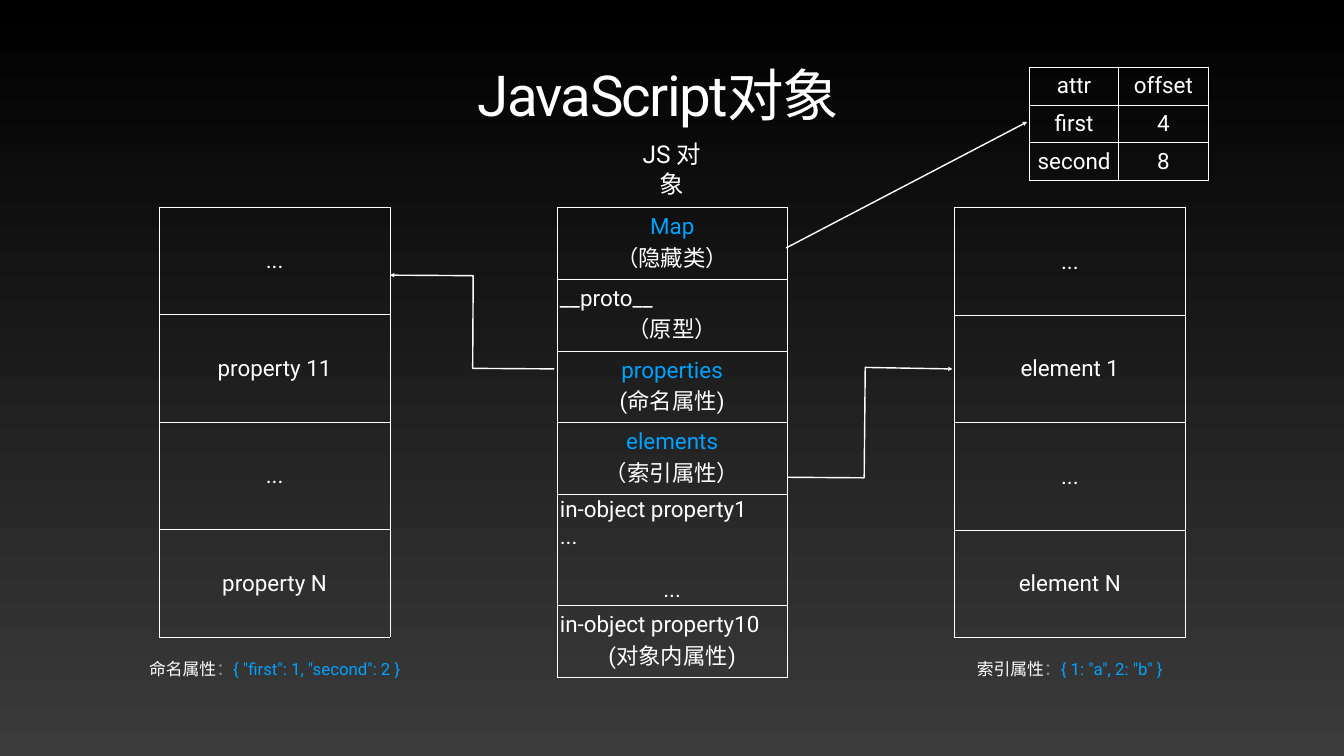
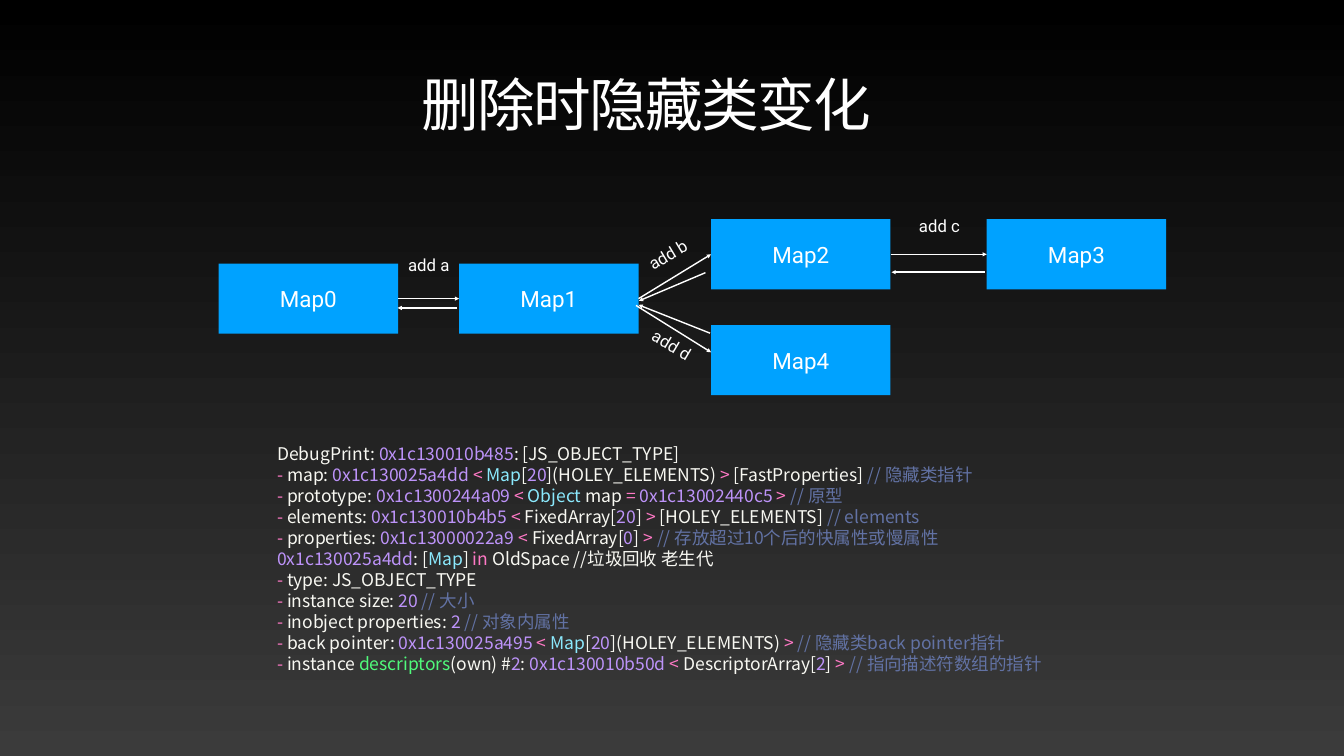
"""Build two slides on how JavaScript objects and their hidden classes are laid out."""
from lxml.etree import SubElement
from pptx import Presentation
from pptx.dml.color import RGBColor
from pptx.enum.shapes import MSO_CONNECTOR as CONN, MSO_SHAPE as SHAPE
from pptx.enum.text import MSO_ANCHOR as ANCHOR, MSO_AUTO_SIZE as FIT, PP_ALIGN as ALIGN
from pptx.oxml.ns import qn
from pptx.util import Inches, Pt

BLACK = RGBColor(0x00, 0x00, 0x00)
DARK = RGBColor(0x3B, 0x3B, 0x3B)
WHITE = RGBColor(0xFF, 0xFF, 0xFF)
GREY = RGBColor(0x92, 0x92, 0x92)
BLUE = RGBColor(0x00, 0xA2, 0xFF)
PLAIN = RGBColor(0xF8, 0xF8, 0xF2)
NUMBER = RGBColor(0xBD, 0x93, 0xF9)
MARK = RGBColor(0xFF, 0x79, 0xC6)
TYPE = RGBColor(0x8B, 0xE9, 0xFD)
NOTE = RGBColor(0x62, 0x72, 0xA4)
GREEN = RGBColor(0x50, 0xFA, 0x7B)

LATIN, CJK = "Roboto", "Noto Sans CJK SC"
INSET = Inches(0.06)
DASH = ("-", MARK)

DEBUG_PRINT = [
    [("DebugPrint: ", PLAIN), ("0x1c130010b485", NUMBER), (": [JS_OBJECT_TYPE]", PLAIN)],
    [DASH, (" map: ", PLAIN), ("0x1c130025a4dd ", NUMBER), ("< ", MARK), ("Map", TYPE),
     ("[", PLAIN), ("20", NUMBER), ("](HOLEY_ELEMENTS) ", PLAIN), (">", MARK),
     (" [FastProperties] ", PLAIN), ("// 隐藏类指针", NOTE)],
    [DASH, (" prototype: ", PLAIN), ("0x1c1300244a09 ", NUMBER), ("< ", MARK),
     ("Object", TYPE), (" map ", PLAIN), ("= ", MARK), ("0x1c13002440c5 ", NUMBER),
     ("> ", MARK), ("// 原型", NOTE)],
    [DASH, (" elements: ", PLAIN), ("0x1c130010b4b5 ", NUMBER), ("<", MARK),
     (" FixedArray[", PLAIN), ("20", NUMBER), ("] ", PLAIN), (">", MARK),
     (" [HOLEY_ELEMENTS] ", PLAIN), ("// elements", NOTE)],
    [DASH, (" properties: ", PLAIN), ("0x1c13000022a9 ", NUMBER), ("<", MARK),
     (" FixedArray[", PLAIN), ("0", NUMBER), ("] ", PLAIN), ("> ", MARK),
     ("// 存放超过10个后的快属性或慢属性", NOTE)],
    [("0x1c130025a4dd", NUMBER), (": [", PLAIN), ("Map", TYPE), ("] ", PLAIN),
     ("in", MARK), (" OldSpace //垃圾回收 老生代", PLAIN)],
    [DASH, (" type: JS_OBJECT_TYPE", PLAIN)],
    [DASH, (" instance size: ", PLAIN), ("20 ", NUMBER), ("// 大小", NOTE)],
    [DASH, (" inobject properties: ", PLAIN), ("2 ", NUMBER), ("// 对象内属性", NOTE)],
    [DASH, (" back pointer: ", PLAIN), ("0x1c130025a495 ", NUMBER), ("< ", MARK),
     ("Map", TYPE), ("[", PLAIN), ("20", NUMBER), ("](HOLEY_ELEMENTS) ", PLAIN),
     ("> ", MARK), ("// 隐藏类back pointer指针", NOTE)],
    [DASH, (" instance ", PLAIN), ("descriptors", GREEN), ("(own) #", PLAIN),
     ("2", NUMBER), (": ", PLAIN), ("0x1c130010b50d ", NUMBER), ("<", MARK),
     (" DescriptorArray[", PLAIN), ("2", NUMBER), ("] ", PLAIN), ("> ", MARK),
     ("// 指向描述符数组的指针", NOTE)],
]


class Deck:
    """Holds the shared style and the current slide; lengths are percents of the slide."""

    def __init__(self):
        self.prs = Presentation()
        self.prs.slide_width, self.prs.slide_height = Inches(26.67), Inches(15)
        fill = self.prs.slide_master.background.fill
        fill.gradient()
        fill.gradient_angle = 270
        for stop, color in zip(fill.gradient_stops, (BLACK, DARK)):
            stop.color.rgb = color

    def x(self, share):
        return round(self.prs.slide_width * share / 100)

    def y(self, share):
        return round(self.prs.slide_height * share / 100)

    def box(self, left, top, width, height):
        return self.x(left), self.y(top), self.x(width), self.y(height)

    def fill_text(self, tf, paras, size, align=ALIGN.CENTER, font=LATIN, spacing=None):
        for i, para in enumerate(paras):
            p = tf.paragraphs[0] if i == 0 else tf.add_paragraph()
            p.alignment, p.line_spacing = align, spacing
            for text, color in [(para, WHITE)] if isinstance(para, str) else para:
                r = p.add_run()
                r.text = text
                r.font.size, r.font.name = Pt(size), font
                r.font.color.rgb = color
                SubElement(r.font._element, qn("a:ea"), typeface=CJK)

    def frame(self, sp, anchor=ANCHOR.MIDDLE, wrap=True):
        tf = sp.text_frame
        tf.margin_left = tf.margin_right = tf.margin_top = tf.margin_bottom = INSET
        tf.vertical_anchor, tf.word_wrap, tf.auto_size = anchor, wrap, FIT.NONE
        return tf

    def slide(self, title, left, top, size):
        self.s = self.prs.slides.add_slide(self.prs.slide_layouts[5])
        sp = self.s.shapes.title
        sp.left, sp.top, sp.width, sp.height = self.box(left, top, 89.58, 11.33)
        tf = self.frame(sp, ANCHOR.BOTTOM)
        self.fill_text(tf, [title], size, spacing=0.8)
        tf.paragraphs[0].runs[0].font._element.set("spc", "-240")

    def text(self, paras, left, top, width, height, size=24, wrap=False, rotation=0, **style):
        sp = self.s.shapes.add_textbox(*self.box(left, top, width, height))
        sp.rotation = rotation
        self.fill_text(self.frame(sp, wrap=wrap), paras, size, **style)

    def node(self, name, left, top):
        sp = self.s.shapes.add_shape(SHAPE.RECTANGLE, *self.box(left, top, 13.35, 9.27))
        sp.shadow.inherit = False
        sp.fill.solid()
        sp.fill.fore_color.rgb = BLUE
        sp.line.fill.background()
        self.fill_text(self.frame(sp), [name], 32)
        return sp

    def table(self, rows, left, top, col_width, heights):
        size = self.box(left, top, col_width * len(rows[0]), sum(heights))
        tbl = self.s.shapes.add_table(len(rows), len(rows[0]), *size).table
        tbl.first_row = tbl.horz_banding = False
        for col in tbl.columns:
            col.width = self.x(col_width)
        for row, height, values in zip(tbl.rows, heights, rows):
            row.height = self.y(height)
            for cell, paras in zip(row.cells, values):
                self.cell(cell, paras)
        return tbl

    def cell(self, cell, paras):
        cell.margin_left = cell.margin_right = cell.margin_top = cell.margin_bottom = INSET
        cell.vertical_anchor = ANCHOR.MIDDLE
        cell.fill.background()
        self.fill_text(cell.text_frame, paras, 32)
        tcPr = cell._tc.get_or_add_tcPr()
        for i, side in enumerate(("lnL", "lnR", "lnT", "lnB")):
            ln = SubElement(tcPr, qn(f"a:{side}"), w=str(Pt(1)))
            fill = SubElement(ln, qn("a:solidFill"))
            SubElement(fill, qn("a:srgbClr"), val=str(WHITE))
            tcPr.insert(i, ln)

    def arrowhead(self, sp):
        sp.line.color.rgb, sp.line.width = WHITE, Pt(2)
        ln = sp._element.spPr.find(qn("a:ln"))
        SubElement(ln, qn("a:tailEnd"), type="triangle")

    def arrow(self, start=(0, 0), end=(0, 0), join=None):
        sp = self.s.shapes.add_connector(
            CONN.STRAIGHT, self.x(start[0]), self.y(start[1]), self.x(end[0]), self.y(end[1]))
        if join:
            sp.begin_connect(join[0], 3)
            sp.end_connect(join[1], 1)
        self.arrowhead(sp)
        SubElement(sp._element.spPr, qn("a:effectLst"))

    def elbow(self, *points):
        pts = [(self.x(x), self.y(y)) for x, y in points]
        builder = self.s.shapes.build_freeform(*pts[0])
        builder.add_line_segments(pts[1:], close=False)
        sp = builder.convert_to_shape()
        sp.shadow.inherit = False
        sp.fill.background()
        self.arrowhead(sp)


def object_slide(deck):
    deck.slide("JavaScript对象", 4.2, 5.93, 80.7)
    fields = [
        [[("Map", BLUE)], "（隐藏类）"],
        ["__proto__", "（原型）"],
        [[("properties", BLUE)], "(命名属性)"],
        [[("elements", BLUE)], "（索引属性）"],
        ["in-object property1", "...", "..."],
        ["in-object property10", "(对象内属性)"],
    ]
    tbl = deck.table([[f] for f in fields], 41.43, 27.47, 17.17, [9.47] * 4 + [14.67, 9.47])
    for row in (1, 4, 5):
        for p in tbl.cell(row, 0).text_frame.paragraphs[:-1]:
            p.alignment = ALIGN.LEFT
    tbl.cell(4, 0).text_frame.paragraphs[-1].space_before = Pt(38)

    for left, top, first, last in ((71.02, 27.47, "element 1", "element N"),
                                   (11.85, 27.4, "property 11", "property N")):
        rows = [[[text]] for text in ("...", first, "...", last)]
        deck.table(rows, left, top, 17.17, [14.22] * 4)
    offsets = (("attr", "offset"), ("first", "4"), ("second", "8"))
    deck.table([[[text] for text in row] for row in offsets], 76.6, 8.87, 6.64, [5] * 3)

    deck.elbow((58.61, 63.13), (64.3, 63.2), (64.38, 48.6), (70.87, 48.8))
    deck.elbow((41.24, 48.8), (35.17, 48.73), (35.21, 36.47), (29.02, 36.4))
    deck.arrow((58.49, 32.8), (76.42, 16.13))
    for name, sample, left, width in (
            ("命名属性", '{ "first": 1, "second": 2 }', 10.54, 19.8),
            ("索引属性", '{ 1: "a", 2: "b" }', 71.92, 15.34)):
        deck.text([[(name, WHITE), ("：", GREY), (sample, BLUE)]], left, 86.47, width, 3.87)
    deck.text(["JS 对象"], 46.76, 19.67, 6.49, 5.33, size=35, wrap=True)


def transition_slide(deck):
    deck.slide("删除时隐藏类变化", 3.3, 7.2, 82.3)
    places = ((16.27, 34.87), (34.16, 34.87), (52.91, 29), (73.42, 29), (52.91, 43))
    maps = [deck.node(f"Map{i}", *place) for i, place in enumerate(places)]
    for i in range(3):
        deck.arrow(join=maps[i:i + 2])
    for start, end in (((47.32, 40.4), (52.91, 46.6)),
                       ((34.01, 40.73), (29.58, 40.73)),
                       ((52.49, 36.07), (47.54, 39.8)),
                       ((73.27, 36), (66.33, 36)),
                       ((52.83, 44.07), (47.51, 40.33))):
        deck.arrow(start, end)
    for name, left, top, rotation in (("a", 30.03, 33.07, 0), ("b", 47.81, 31.73, 329),
                                      ("c", 68.02, 27.93, 359.4), ("d", 48.11, 43.67, 30.9)):
        deck.text([f"add {name}"], left, top, 3.75, 3.8, rotation=rotation)
    deck.text(DEBUG_PRINT, 20.4, 53.47, 59.21, 40.73, size=25, wrap=True,
              align=ALIGN.LEFT, font=CJK, spacing=Pt(30))


def main():
    deck = Deck()
    object_slide(deck)
    transition_slide(deck)
    deck.prs.save("out.pptx")


if __name__ == "__main__":
    main()
